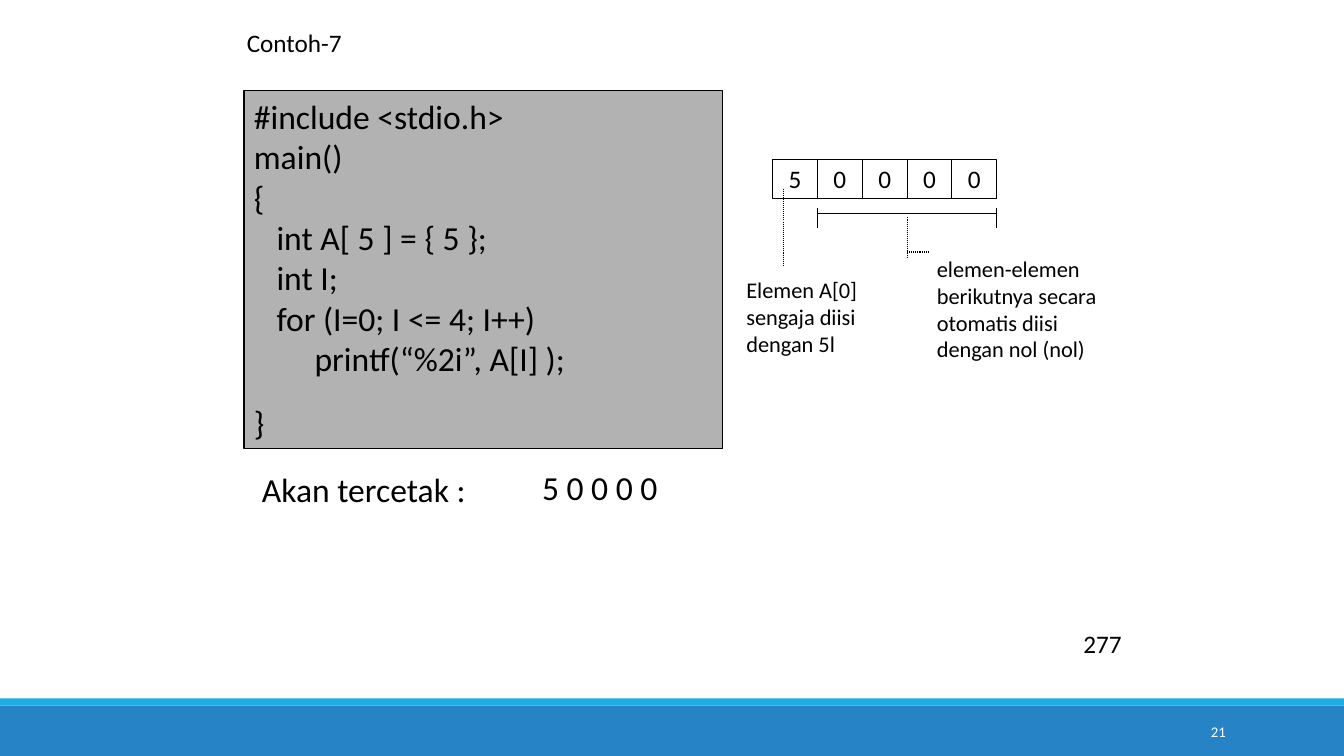
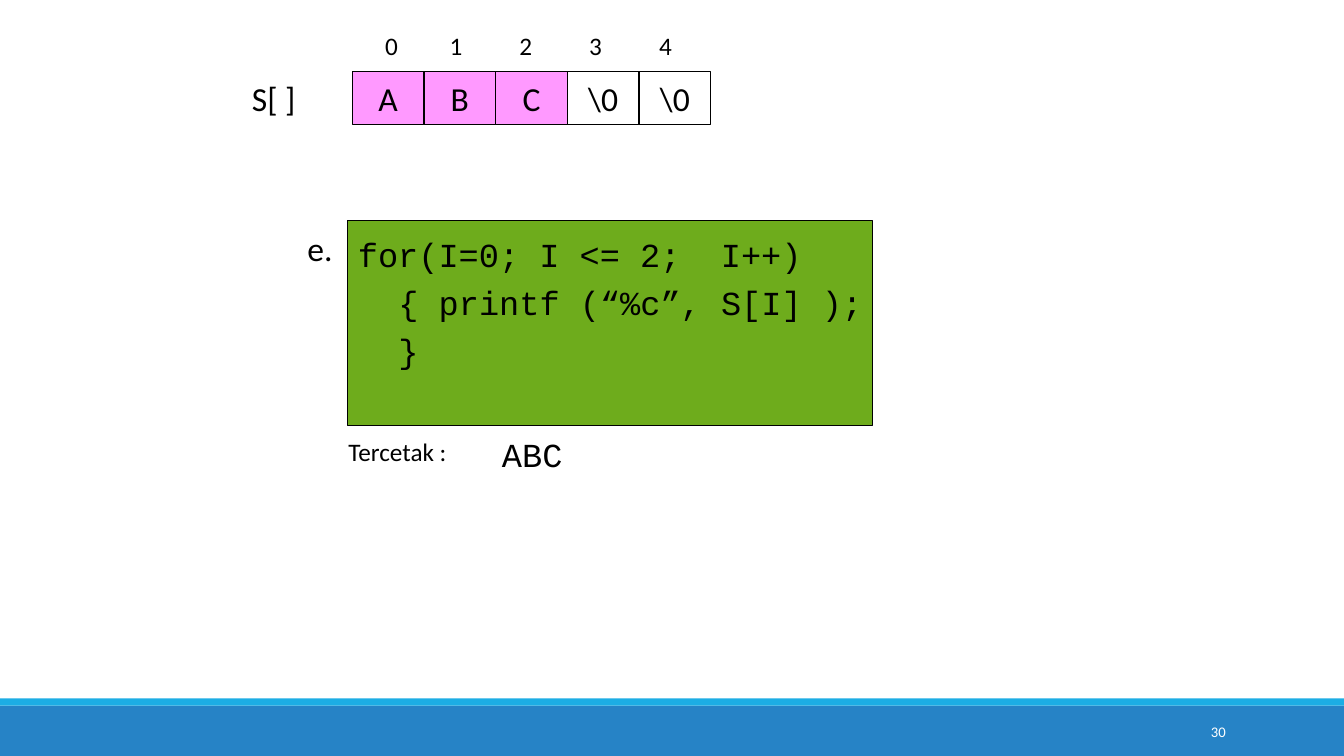
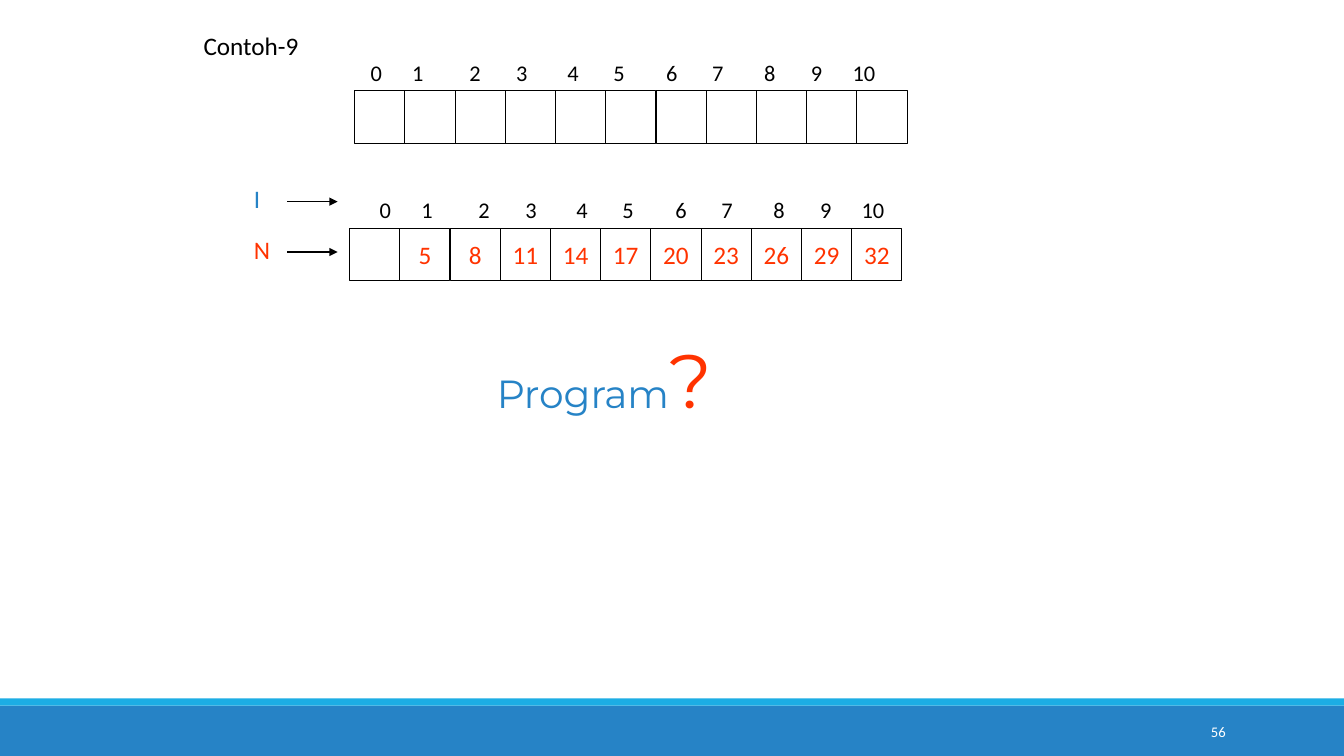
"""Build three slides on arrays in C."""
from lxml import etree
from pptx import Presentation
from pptx.dml.color import RGBColor
from pptx.enum import dml, shapes, text
from pptx.oxml import ns
from pptx.util import Cm, Pt

COLORS = {
    "black": "000000", "white": "FFFFFF", "blue": "2683C6", "cyan": "1CADE4",
    "gray": "B2B2B2", "green": "6EAC1C", "pink": "FF99FF", "red": "FF3300",
}
SLIDE_W, SLIDE_H = 33.87, 19.05
SANS, MONO, DISPLAY = "Calibri", "Courier New", "Montserrat"
CENTER, RIGHT = text.PP_ALIGN.CENTER, text.PP_ALIGN.RIGHT
SCORES = ["", 5, 8, 11, 14, 17, 20, 23, 26, 29, 32]
SCORE_STOPS = [0.26, 1.31, 2.75, 3.93, 5.22, 6.38, 7.71, 8.87, 10.18, 11.36, 12.55]
LETTER_STOPS = [0.58] + [2.2 + 1.76 * i for i in range(4)]


def rgb(name):
    """Return the named colour."""
    return RGBColor.from_string(COLORS[name])


def set_font(font, size, color="black", face=SANS):
    """Give a font its size, colour and face."""
    font.size, font.name = Pt(size), face
    font.color.rgb = rgb(color)


def add_rect(parent, x, y, w, h, fill=None, line="black"):
    """Add a rectangle, outlined unless line is None."""
    sp = parent.add_shape(shapes.MSO_SHAPE.RECTANGLE, Cm(x), Cm(y), Cm(w), Cm(h))
    sp.shadow.inherit = False
    if fill:
        sp.fill.solid()
        sp.fill.fore_color.rgb = rgb(fill)
    else:
        sp.fill.background()
    if line:
        sp.line.color.rgb, sp.line.width = rgb(line), Pt(0.75)
    else:
        sp.line.fill.background()
    return sp


def add_label(parent, x, y, w, h, lines, size=18, color="black", face=SANS, align=None):
    """Add a text box with one paragraph for each line."""
    tf = parent.add_textbox(Cm(x), Cm(y), Cm(w), Cm(h)).text_frame
    tf.word_wrap = True
    tf.text = lines
    for p in tf.paragraphs:
        p.alignment = align
        set_font(p.font, size, color, face)
    return tf


def add_line(parent, x1, y1, x2, y2, dotted=False, arrow=False):
    """Add a thin straight line, dotted or with an arrowhead on request."""
    line = parent.add_connector(
        shapes.MSO_CONNECTOR.STRAIGHT, Cm(x1), Cm(y1), Cm(x2), Cm(y2))
    line.line.color.rgb, line.line.width = rgb("black"), Pt(0.75)
    if dotted:
        line.line.dash_style = dml.MSO_LINE.ROUND_DOT
    if arrow:
        etree.SubElement(line.line._get_or_add_ln(), ns.qn("a:tailEnd"), type="triangle")
    etree.SubElement(line._element.spPr, ns.qn("a:effectLst"))


def add_array(parent, x, y, w, h, values, size=18, color="black", fills=()):
    """Divide a box into equal cells holding the values."""
    cell_w = w / len(values)
    for i, value in enumerate(values):
        sp = add_rect(parent, x + i * cell_w, y, cell_w, h, fills[i] if fills else None)
        if value != "":
            tf = sp.text_frame
            tf.word_wrap = False
            tf.vertical_anchor = text.MSO_ANCHOR.MIDDLE
            p = tf.paragraphs[0]
            p.text, p.alignment = str(value), CENTER
            set_font(p.font, size, color)


def add_indexes(parent, x, y, w, h, stops, size):
    """Number the cells of an array at centred tab stops."""
    numbers = "".join(f"\t{i}" for i in range(len(stops)))
    p = add_label(parent, x, y, w, h, numbers, size).paragraphs[0]
    p_pr = p._p.get_or_add_pPr()
    tabs = etree.Element(ns.qn("a:tabLst"))
    for stop in stops:
        etree.SubElement(tabs, ns.qn("a:tab"), pos=str(int(Cm(stop))), algn="ctr")
    p_pr.find(ns.qn("a:defRPr")).addprevious(tabs)


def add_code(parent, x, y, w, h, fill, lines, face=SANS, spacing=None):
    """Add a filled box of code from (indent, line) pairs."""
    tf = add_rect(parent, x, y, w, h, fill).text_frame
    tf.word_wrap, tf.margin_right = True, 0
    tf.vertical_anchor = text.MSO_ANCHOR.TOP
    tf.text = "\n".join(line for _, line in lines)
    for p, (indent, _) in zip(tf.paragraphs, lines):
        p.alignment, p.line_spacing = text.PP_ALIGN.LEFT, spacing
        p._p.get_or_add_pPr().set("marL", str(int(Cm(indent))))
        set_font(p.font, 24, face=face)
    return tf


def add_slide(prs, number):
    """Add a blank slide with the bottom bands and its number."""
    parent = prs.slides.add_slide(prs.slide_layouts[6]).shapes
    add_rect(parent, 0, 17.78, SLIDE_W, 1.27, "blue", None)
    add_rect(parent, 0, 17.6, SLIDE_W, 0.18, "cyan", None)
    tf = add_label(parent, 27.51, 17.93, 3.63, 1.02, number, 10.5, "white", align=RIGHT)
    tf.vertical_anchor = text.MSO_ANCHOR.MIDDLE
    return parent


def add_initialised_array(parent, x, y, w, h):
    """Draw an array whose first element is set, with notes below it."""
    cell_w, right = w / 5, x + w
    add_array(parent, x, y, w, h, [5, 0, 0, 0, 0])
    rest = x + cell_w
    add_line(parent, rest, y + 1.37, right, y + 1.37)
    for end in (rest, right):
        add_line(parent, end, y + 1.22, end, y + 1.73)
    add_line(parent, x + 0.28, y + 0.74, x + 0.28, y + 2.69, dotted=True)
    middle = x + 3 * cell_w
    add_line(parent, middle, y + 1.47, middle, y + 2.46, dotted=True)
    add_line(parent, middle, y + 2.34, middle + 0.56, y + 2.34, dotted=True)
    add_label(parent, x - 0.91, y + 2.82, 3.6, 2.31,
              "Elemen A[0]\nsengaja diisi\ndengan 5l", 16)
    add_label(parent, x + 3.89, y + 2.29, 4.85, 3,
              "elemen-elemen berikutnya secara otomatis diisi dengan nol (nol)", 16)


def partial_array_slide(prs):
    """Show a program that fills an array from one value."""
    parent = add_slide(prs, "21")
    add_label(parent, 5.97, 0.56, 4.01, 1.02, "Contoh-7")
    tf = add_code(parent, 6.15, 2.29, 12.07, 9.02, "gray", [
        (0, "#include <stdio.h>"),
        (0, "main()"),
        (0, "{"),
        (0.57, "int A[ 5 ] = { 5 };"),
        (0.57, "int I;"),
        (0.57, "for (I=0; I <= 4; I++)"),
        (1.53, "printf(“%2i”, A[I] );"),
        (0, "}"),
    ])
    tf.paragraphs[-1].space_before = Pt(17)
    add_label(parent, 6.35, 11.68, 6.6, 1.27, "Akan tercetak :", 24)
    add_label(parent, 13.41, 11.63, 5.64, 1.27, "5 0 0 0 0", 24)
    add_initialised_array(parent, 19.47, 4.01, 5.65, 0.99)
    add_label(parent, 27.05, 15.72, 1.8, 1.02, "277")


def string_slide(prs):
    """Show a string array and a loop that prints it."""
    parent = add_slide(prs, "30")
    add_indexes(parent, 9.04, 0.64, 8.76, 1.02, LETTER_STOPS, 18)
    add_label(parent, 6.1, 1.83, 2, 1.27, "S[ ]", 24)
    add_array(parent, 8.88, 1.8, 9.03, 1.34, ["A", "B", "C", r"\0", r"\0"], 24,
              fills=["pink"] * 3 + [None] * 2)
    add_label(parent, 7.5, 5.61, 1.25, 1.27, "e.", 24)
    add_code(parent, 8.77, 5.56, 13.21, 5.16, "green", [
        (0, "for(I=0; I <= 2;  I++)"),
        (1.02, "{ printf (“%c”, S[I] );"),
        (1.02, "}"),
    ], MONO, 1.2)
    add_label(parent, 8.53, 10.87, 3.4, 1.02, "Tercetak :")
    add_label(parent, 12.4, 10.8, 2.4, 1.27, "ABC", 24, face=MONO)


def question_slide(prs):
    """Show an empty and a filled array and ask for the program."""
    parent = add_slide(prs, "56")
    add_label(parent, 4.88, 0.64, 3.2, 1.02, "Contoh-9")
    add_indexes(parent, 8.97, 1.37, 13.54, 0.94, SCORE_STOPS, 16)
    add_array(parent.add_group_shape().shapes, 8.94, 2.29, 13.92, 1.32, [""] * 11)
    add_indexes(parent, 9.2, 4.83, 13.54, 0.94, SCORE_STOPS, 16)
    add_array(parent, 8.81, 5.76, 13.92, 1.32, SCORES, color="red")
    for y, name, color in ((4.5, "I", "blue"), (5.77, "N", "red")):
        add_label(parent, 6.15, y, 1, 1.02, name, color=color)
        add_line(parent, 7.24, y + 0.58, 8.51, y + 0.58, arrow=True)
    p = add_label(parent, 12.27, 8.26, 6.55, 2.54, "", 28, face=DISPLAY).paragraphs[0]
    for word, size, color in (("Program", 28, "blue"), ("?", 54, "red")):
        r = p.add_run()
        r.text = word
        set_font(r.font, size, color, DISPLAY)


def main():
    """Build and save the presentation."""
    prs = Presentation()
    prs.slide_width, prs.slide_height = Cm(SLIDE_W), Cm(SLIDE_H)
    partial_array_slide(prs)
    string_slide(prs)
    question_slide(prs)
    prs.save("out.pptx")


if __name__ == "__main__":
    main()
